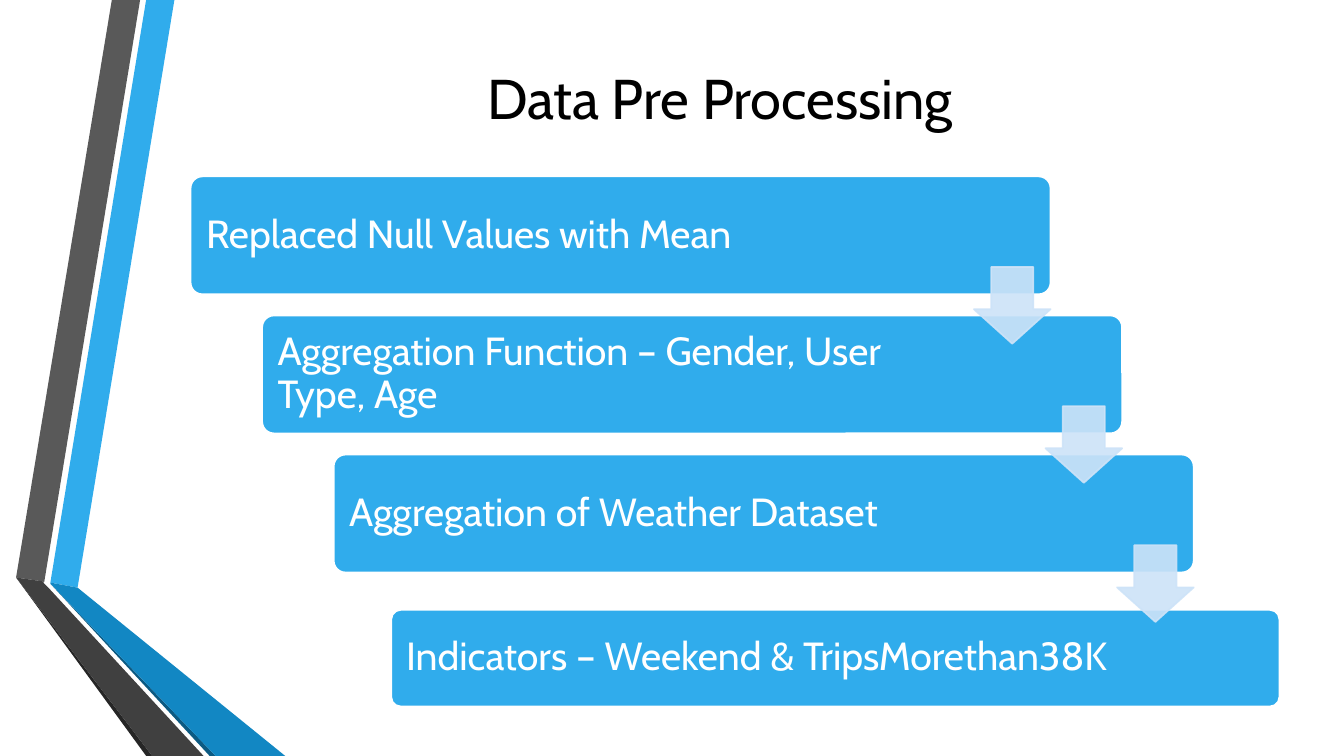
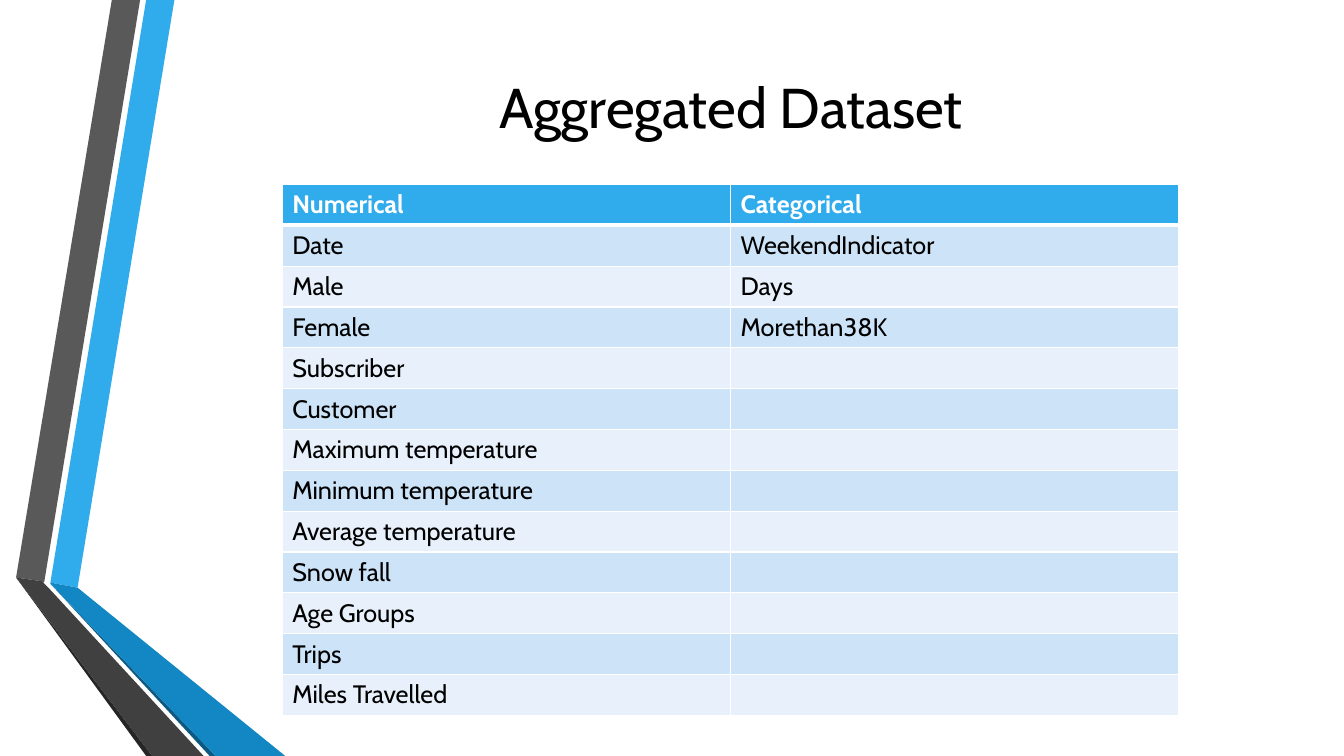
from itertools import zip_longest

from lxml.etree import SubElement
from pptx import Presentation
from pptx.dml.color import RGBColor
from pptx.enum.shapes import MSO_SHAPE as Preset
from pptx.enum.text import MSO_ANCHOR as Anchor, PP_ALIGN as Align
from pptx.oxml.ns import qn
from pptx.util import Inches, Pt

# Content
STEPS = [
    "Replaced Null Values with Mean",
    "Aggregation Function – Gender, User Type, Age",
    "Aggregation of Weather Dataset",
    "Indicators – Weekend & TripsMorethan38K",
]
NUMERICAL = [
    "Numerical", "Date", "Male", "Female", "Subscriber", "Customer",
    "Maximum temperature", "Minimum temperature", "Average temperature",
    "Snow fall", "Age Groups", "Trips", "Miles Travelled",
]
CATEGORICAL = ["Categorical", "WeekendIndicator", "Days", "Morethan38K"]

# Shared style
FONT = "Cabin"
WHITE = RGBColor(0xFF, 0xFF, 0xFF)
BLACK = RGBColor(0x00, 0x00, 0x00)
BLUE = RGBColor(0x30, 0xAC, 0xEC)
MID_BLUE = RGBColor(0x12, 0x87, 0xC3)
DEEP_BLUE = RGBColor(0x0C, 0x5A, 0x82)
PALE_BLUE = RGBColor(0xCD, 0xE3, 0xF8)
FAINT_BLUE = RGBColor(0xE8, 0xF1, 0xFB)
GREY = RGBColor(0x59, 0x59, 0x59)
DARK_GREY = RGBColor(0x40, 0x40, 0x40)
NEAR_BLACK = RGBColor(0x26, 0x26, 0x26)

# Folded ribbons at the left edge, back to front
RIBBONS = [
    (BLUE, [(0.5, 5.78), (0.77, 5.83), (1.73, 0), (1.45, 0)]),
    (GREY, [(1.39, 0), (1.11, 0), (0.16, 5.73), (0.44, 5.77)]),
    (NEAR_BLACK, [(0.16, 5.73), (1.45, 7.5), (1.51, 7.5)]),
    (DEEP_BLUE, [(0.5, 5.79), (2.08, 7.5), (2.14, 7.5)]),
    (MID_BLUE, [(0.5, 5.79), (2.14, 7.5), (2.83, 7.5), (0.77, 5.83), (0.5, 5.78)]),
    (DARK_GREY, [(2.02, 7.5), (0.48, 5.83), (0.43, 5.78), (0.44, 5.77),
                 (0.16, 5.73), (1.51, 7.5)]),
]


def write(paragraph, text, size, color, bold=False):
    run = paragraph.add_run()
    run.text = text
    font = run.font
    font.name, font.size, font.bold = FONT, Pt(size), bold
    font.color.rgb = color


def paint(shape, fill, line=None):
    shape.shadow.inherit = False
    shape.fill.solid()
    shape.fill.fore_color.rgb = fill
    if line is None:
        shape.line.fill.background()
    else:
        shape.line.color.rgb = line
        shape.line.width = Pt(1.25)


def start_slide(title, left, top):
    slide = deck.slides.add_slide(deck.slide_layouts[6])
    for color, corners in RIBBONS:
        points = [(Inches(x), Inches(y)) for x, y in corners]
        outline = slide.shapes.build_freeform(*points[0])
        outline.add_line_segments(points[1:], close=True)
        paint(outline.convert_to_shape(), color)
    heading = slide.shapes.add_textbox(
        Inches(left), Inches(top), Inches(10.96), Inches(1.92)).text_frame
    heading.word_wrap = True
    heading.vertical_anchor = Anchor.MIDDLE
    heading.paragraphs[0].alignment = Align.CENTER
    write(heading.paragraphs[0], title, 40, BLACK)
    return slide


def add_step(slide, text, left, top, width, height):
    step = slide.shapes.add_shape(
        Preset.ROUNDED_RECTANGLE,
        Inches(left), Inches(top), Inches(width), Inches(height))
    step.adjustments[0] = 0.1
    paint(step, BLUE, WHITE)
    frame = step.text_frame
    frame.word_wrap = True
    frame.vertical_anchor = Anchor.MIDDLE
    frame.margin_left = frame.margin_top = frame.margin_bottom = Inches(0.12)
    frame.margin_right = Inches(1.6)  # keeps text clear of the arrows
    line = frame.paragraphs[0]
    line.alignment = Align.LEFT
    line.line_spacing = 0.9
    write(line, text, 28, WHITE)


def add_arrow(slide, left, top):
    arrow = slide.shapes.add_shape(
        Preset.DOWN_ARROW, Inches(left), Inches(top), Inches(ARROW), Inches(ARROW))
    arrow.adjustments[0], arrow.adjustments[1] = 0.55, 0.45
    paint(arrow, PALE_BLUE, PALE_BLUE)
    for color in arrow.element.spPr.iter(qn("a:srgbClr")):
        SubElement(color, qn("a:alpha"), val="90000")


def set_borders(cell, bottom):
    properties = cell._tc.get_or_add_tcPr()
    widths = {"a:lnL": 1, "a:lnR": 1, "a:lnT": 1, "a:lnB": bottom}
    for place, (side, width) in enumerate(widths.items()):
        border = SubElement(properties, qn(side), w=str(Pt(width)))
        SubElement(SubElement(border, qn("a:solidFill")), qn("a:srgbClr"),
                   val=str(WHITE))
        properties.insert(place, border)


deck = Presentation()
deck.slide_width, deck.slide_height = Inches(13.33), Inches(7.5)

# Slide 1: staircase of steps, arrows at each right edge
STEP_LEFT, STEP_TOP, STEP_WIDTH, STEP_HEIGHT = 1.89, 1.75, 8.53, 1.17
SHIFT, DROP, ARROW = 0.71, 1.38, 0.76

processing = start_slide("Data Pre Processing", 1.66, 0)
corners = [(STEP_LEFT + SHIFT * i, STEP_TOP + DROP * i)
           for i in range(len(STEPS) - 1)]
for text, (left, top) in zip(STEPS, corners):
    add_step(processing, text, left, top, STEP_WIDTH, STEP_HEIGHT)
add_step(processing, STEPS[-1], 3.88, 6.05, 8.81, 0.96)
for left, top in corners:
    add_arrow(processing, left + STEP_WIDTH - ARROW, top + 0.9)

# Slide 2: table of variables
dataset = start_slide("Aggregated Dataset", 1.77, 0.09)
variables = dataset.shapes.add_table(
    len(NUMERICAL), 2, Inches(2.8), Inches(1.83), Inches(8.89), Inches(5.27)).table
for r, names in enumerate(zip_longest(NUMERICAL, CATEGORICAL, fillvalue="")):
    header = r == 0
    fill = BLUE if header else PALE_BLUE if r % 2 else FAINT_BLUE
    for c, name in enumerate(names):
        cell = variables.cell(r, c)
        cell.fill.solid()
        cell.fill.fore_color.rgb = fill
        set_borders(cell, bottom=3 if header else 1)
        if name:
            write(cell.text_frame.paragraphs[0], name, 18,
                  WHITE if header else BLACK, bold=header)

deck.save("out.pptx")
